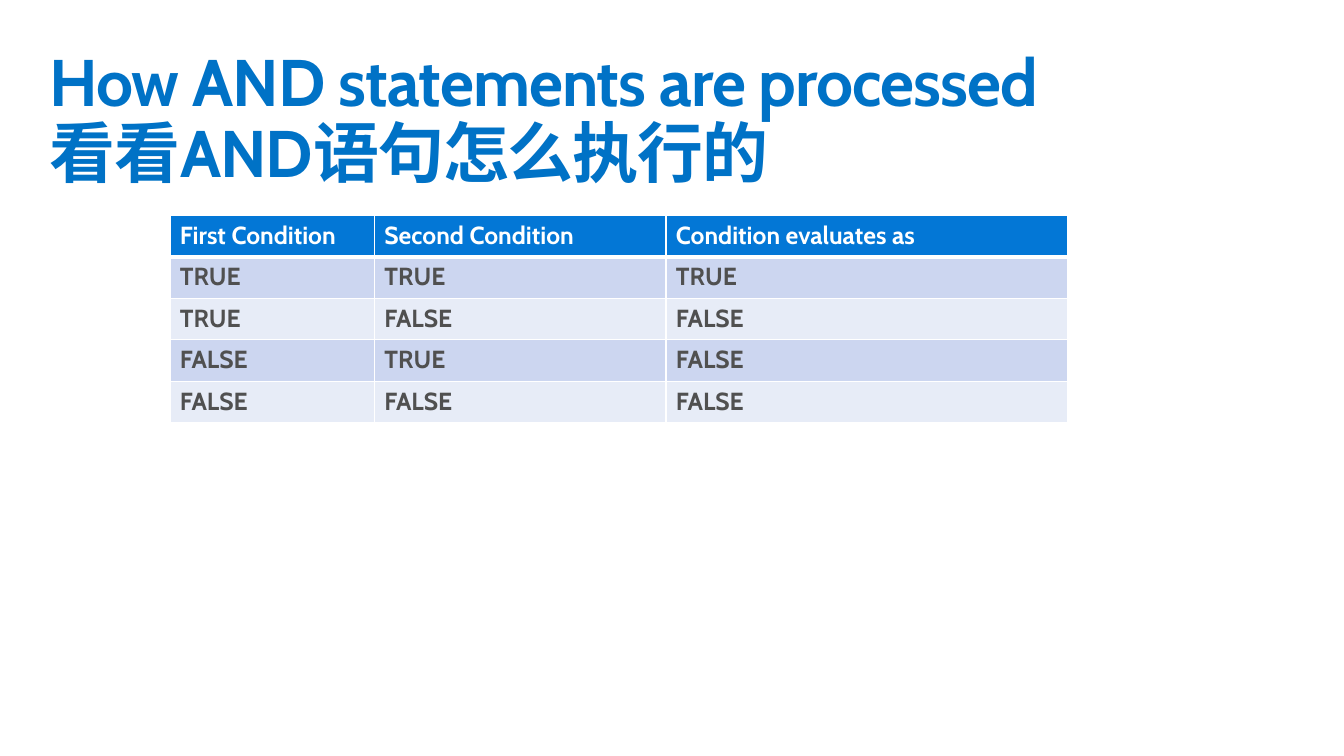
from lxml.etree import SubElement
from pptx import Presentation
from pptx.dml.color import RGBColor
from pptx.enum.text import MSO_ANCHOR
from pptx.oxml.ns import qn
from pptx.util import Inches, Pt

FONT = "Cabin"
TITLE_LINES = ["How AND statements are processed", "看看AND语句怎么执行的"]
TITLE_COLOR = "0072C6"
TRUTH_TABLE = [
    ("First Condition", "Second Condition", "Condition evaluates as"),
    ("TRUE", "TRUE", "TRUE"),
    ("TRUE", "FALSE", "FALSE"),
    ("FALSE", "TRUE", "FALSE"),
    ("FALSE", "FALSE", "FALSE"),
]
COLUMN_WIDTHS = [2.07, 2.95, 4.06]
ROW_HEIGHT = 0.42
HEADER_FILL, HEADER_COLOR = "0377D6", "FFFFFF"
BAND_FILLS, BODY_COLOR = ["E7ECF7", "CCD6F0"], "505050"
BORDER_COLOR, BORDER, HEADER_RULE = "FFFFFF", 1, 3


def rgb(color):
    return RGBColor.from_string(color)


def add_run(paragraph, text, size, color):
    run = paragraph.add_run()
    run.text = text
    run.font.name = FONT
    run.font.size = Pt(size)
    run.font.bold = True
    run.font.color.rgb = rgb(color)
    return run


def add_title(slide):
    title = slide.shapes.add_textbox(Inches(0.4), Inches(0.4), Inches(12.8), Inches(1))
    frame = title.text_frame
    frame.word_wrap = True
    frame.vertical_anchor = MSO_ANCHOR.TOP
    frame.margin_left = frame.margin_right = Inches(0.1)
    frame.margin_top = frame.margin_bottom = Inches(0.1)
    paragraph = frame.paragraphs[0]
    paragraph.line_spacing = 0.9
    for index, line in enumerate(TITLE_LINES):
        if index:
            paragraph.add_line_break()
        run = add_run(paragraph, line, 48, TITLE_COLOR)
        run.font._element.set("spc", "-70")


def add_borders(cell, top, bottom):
    properties = cell._tc.get_or_add_tcPr()
    for side, width in (("L", BORDER), ("R", BORDER), ("T", top), ("B", bottom)):
        border = SubElement(properties, qn(f"a:ln{side}"), w=str(Pt(width)))
        fill = SubElement(border, qn("a:solidFill"))
        SubElement(fill, qn("a:srgbClr"), val=BORDER_COLOR)


def add_truth_table(slide):
    row_count, column_count = len(TRUTH_TABLE), len(COLUMN_WIDTHS)
    table = slide.shapes.add_table(
        row_count, column_count, Inches(1.72), Inches(2.18),
        Inches(sum(COLUMN_WIDTHS)), Inches(ROW_HEIGHT * row_count),
    ).table
    for column, width in zip(table.columns, COLUMN_WIDTHS):
        column.width = Inches(width)
    for row_index, conditions in enumerate(TRUTH_TABLE):
        table.rows[row_index].height = Inches(ROW_HEIGHT)
        is_header = row_index == 0
        fill = HEADER_FILL if is_header else BAND_FILLS[row_index % 2]
        color = HEADER_COLOR if is_header else BODY_COLOR
        top = HEADER_RULE if row_index == 1 else BORDER
        bottom = HEADER_RULE if is_header else BORDER
        for column_index, condition in enumerate(conditions):
            cell = table.cell(row_index, column_index)
            add_borders(cell, top, bottom)
            cell.fill.solid()
            cell.fill.fore_color.rgb = rgb(fill)
            add_run(cell.text_frame.paragraphs[0], condition, 18, color)


def main():
    """Build the slide on how AND statements are processed."""
    presentation = Presentation()
    presentation.slide_width = Inches(13.6)
    presentation.slide_height = Inches(7.65)
    slide = presentation.slides.add_slide(presentation.slide_layouts[6])
    add_title(slide)
    add_truth_table(slide)
    presentation.save("out.pptx")


if __name__ == "__main__":
    main()
